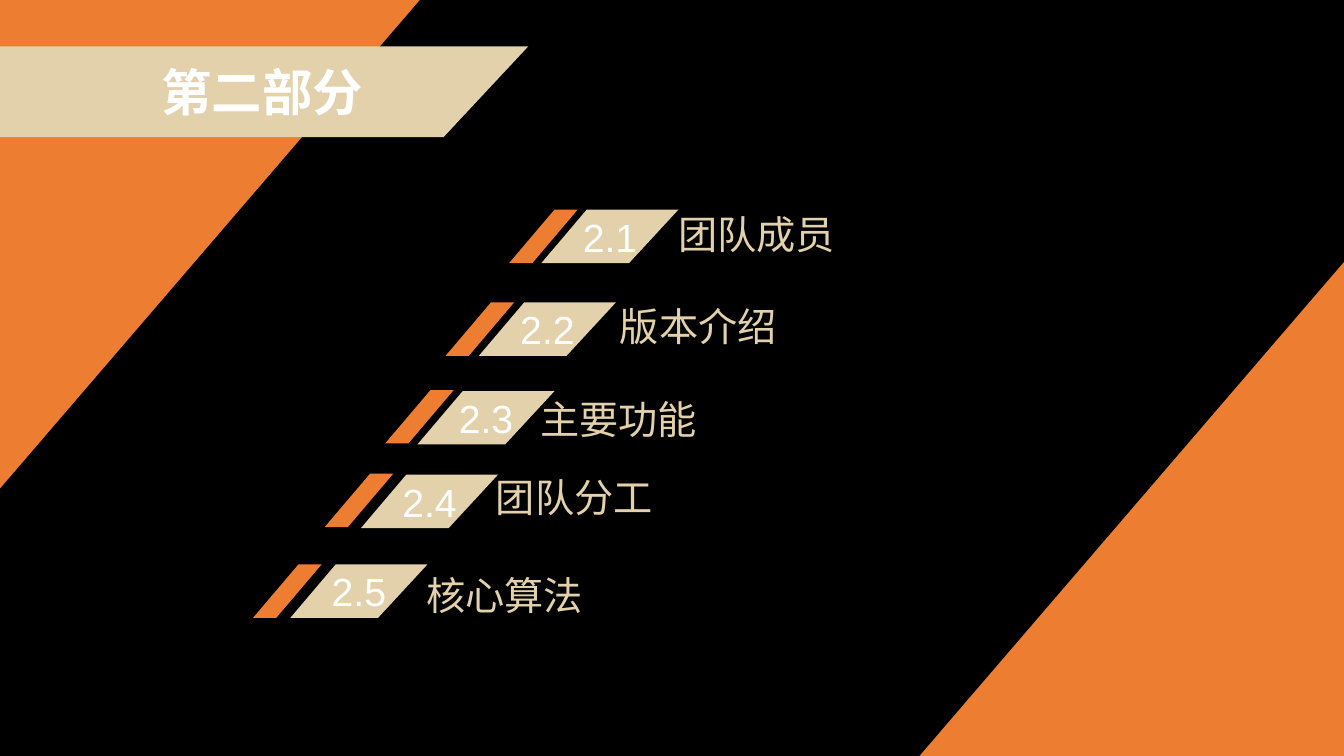
import pptx
import pptx.dml.color
import pptx.enum.shapes
import pptx.enum.text
import pptx.util

Inches = pptx.util.Inches
Pt = pptx.util.Pt
RGBColor = pptx.dml.color.RGBColor
Align = pptx.enum.text.PP_ALIGN
Anchor = pptx.enum.text.MSO_ANCHOR

BLACK = RGBColor(0x00, 0x00, 0x00)
WHITE = RGBColor(0xFF, 0xFF, 0xFF)
ORANGE = RGBColor(0xED, 0x7D, 0x31)
SAND = RGBColor(0xE2, 0xD1, 0xAB)
FONT = "Arial"

BANNER = [(-0.04, 0.46), (5.24, 0.46), (4.4, 1.36), (-0.04, 1.36)]
STRIPE = [(0.45, 0), (0.68, 0), (0.23, 0.53), (0, 0.53)]
PLATE = [(0.45, 0), (1.36, 0), (0.87, 0.53), (0, 0.53)]

AGENDA = [
    ("2.1", "团队成员", (5.05, 2.08), (5.37, 2.08), (6.63, 2.09)),
    ("2.2", "版本介绍", (4.42, 3.0), (4.75, 3.0), (6.05, 3.0)),
    ("2.3", "主要功能", (3.82, 3.87), (4.14, 3.88), (5.26, 3.93)),
    ("2.4", "团队分工", (3.22, 4.7), (3.58, 4.71), (4.82, 4.7)),
    ("2.5", "核心算法", (2.51, 5.6), (2.88, 5.6), (4.13, 5.67)),
]


def paint(shape, color):
    shape.shadow.inherit = False
    shape.fill.solid()
    shape.fill.fore_color.rgb = color
    shape.line.fill.background()


def write(shape, text, size, color, align, anchor, bold=False):
    frame = shape.text_frame
    frame.word_wrap = True
    frame.auto_size = pptx.enum.text.MSO_AUTO_SIZE.NONE
    frame.vertical_anchor = anchor
    para = frame.paragraphs[0]
    para.alignment = align
    span = para.add_run()
    span.text = text
    span.font.name = FONT
    span.font.size = Pt(size)
    span.font.bold = bold
    span.font.color.rgb = color
    return para


def add_corner(page, left, top, rotation=0):
    corner = page.shapes.add_shape(
        pptx.enum.shapes.MSO_SHAPE.RIGHT_TRIANGLE,
        Inches(left), Inches(top), Inches(4.21), Inches(4.9))
    corner._element.spPr.xfrm.set("flipH", "1")
    corner.rotation = rotation
    paint(corner, ORANGE)


def add_outline(page, points, color, origin=(0, 0)):
    corners = [(Inches(origin[0] + x), Inches(origin[1] + y)) for x, y in points]
    builder = page.shapes.build_freeform(*corners[0])
    builder.add_line_segments(corners[1:], close=True)
    outline = builder.convert_to_shape()
    paint(outline, color)
    return outline


def add_title(page, text):
    add_outline(page, BANNER, SAND)
    title = page.shapes.title
    title.left, title.top = Inches(-0.04), Inches(0.46)
    title.width, title.height = Inches(5.28), Inches(0.9)
    write(title, text, 36, WHITE, Align.CENTER, Anchor.MIDDLE, bold=True)
    page.shapes._spTree.append(title._element)


def add_agenda_item(page, number, label, stripe_at, plate_at, label_at):
    add_outline(page, STRIPE, ORANGE, stripe_at)
    plate = add_outline(page, PLATE, SAND, plate_at)
    write(plate, number, 28, WHITE, Align.CENTER, Anchor.MIDDLE)
    box = page.shapes.add_textbox(
        Inches(label_at[0]), Inches(label_at[1]), Inches(5.33), Inches(0.57))
    para = write(box, label, 28, SAND, Align.LEFT, Anchor.TOP)
    para.line_spacing = 0.9


def main():
    deck = pptx.Presentation()
    deck.slide_width, deck.slide_height = Inches(13.33), Inches(7.5)
    page = deck.slides.add_slide(deck.slide_layouts[5])
    page.background.fill.solid()
    page.background.fill.fore_color.rgb = BLACK
    add_corner(page, 9.12, 2.6)
    add_corner(page, -0.03, -0.02, rotation=180)
    add_title(page, "第二部分")
    for item in AGENDA:
        add_agenda_item(page, *item)
    deck.save("out.pptx")


if __name__ == "__main__":
    main()
